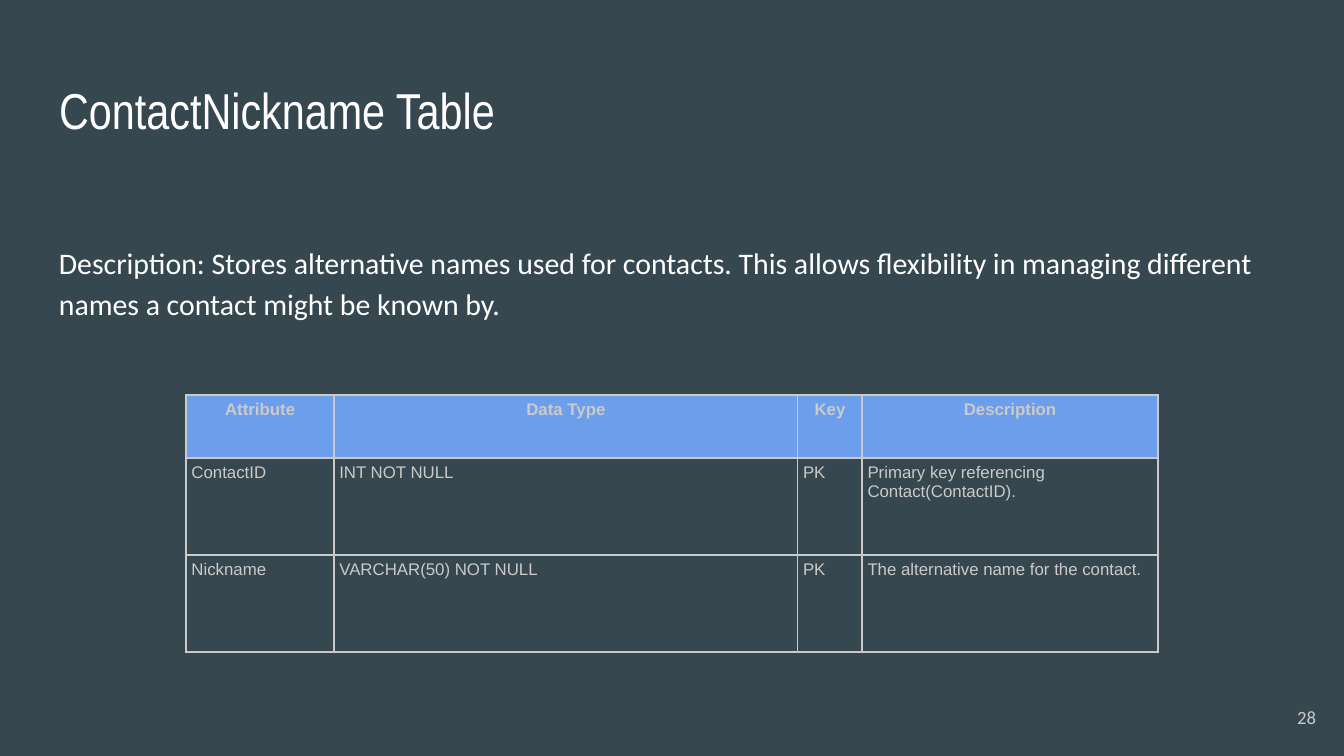
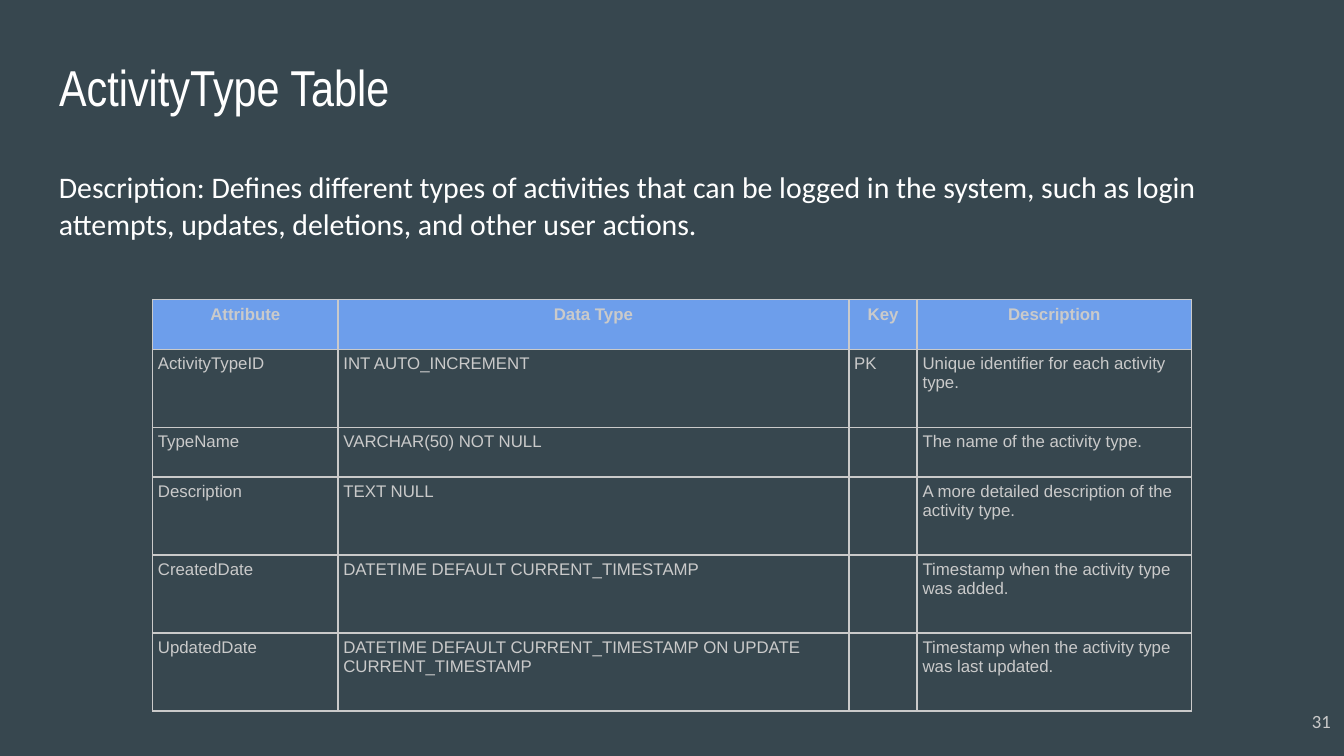
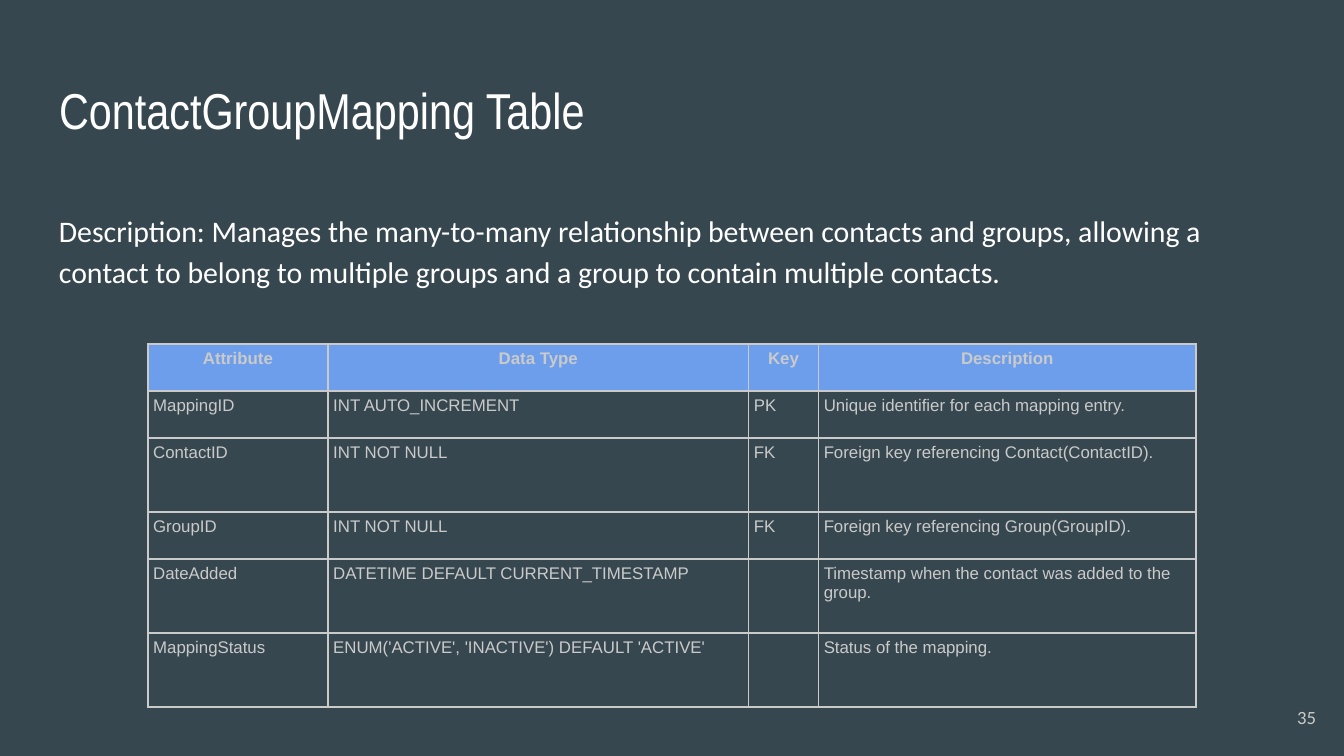
from dataclasses import dataclass

from lxml.etree import SubElement
from pptx import Presentation
from pptx.dml.color import RGBColor
from pptx.enum.text import MSO_ANCHOR, MSO_AUTO_SIZE, PP_ALIGN
from pptx.oxml.ns import qn
from pptx.util import Inches, Pt

SLATE = RGBColor(0x37, 0x47, 0x4F)
WHITE = RGBColor(0xFF, 0xFF, 0xFF)
SILVER = RGBColor(0xCA, 0xCA, 0xCA)
BLUE = RGBColor(0x6D, 0x9E, 0xEB)

SLIDE_WIDTH = 10
SLIDE_HEIGHT = SLIDE_WIDTH * 9 / 16
MARGIN = 0.34
CONTENT_WIDTH = SLIDE_WIDTH - 2 * MARGIN
HEADINGS = ("Attribute", "Data Type", "Key", "Description")


@dataclass(frozen=True)
class TextStyle:
    font: str
    size: float
    color: RGBColor
    bold: bool = False
    align: PP_ALIGN = PP_ALIGN.LEFT


TITLE = TextStyle("Arial Narrow", 27, WHITE)
BODY = TextStyle("Calibri", 16, WHITE)
HEADING = TextStyle("Arial", 9, SILVER, True, PP_ALIGN.CENTER)
ENTRY = TextStyle("Arial", 9, SILVER)
NUMBER = TextStyle("Calibri", 10, SILVER, align=PP_ALIGN.RIGHT)


@dataclass(frozen=True)
class Area:
    left: float
    top: float
    width: float
    height: float


@dataclass(frozen=True)
class TablePage:
    title: str
    title_top: float
    description: str
    description_top: float
    description_height: float
    line_spacing: float
    table_top: float
    columns: tuple[float, ...]
    row_heights: tuple[float, ...]
    entries: tuple[tuple[str, str, str, str], ...]
    number: str
    number_area: Area = Area(9.29, 5.12, 0.6, 0.43)


PAGES = (
    TablePage(
        title="ContactNickname Table",
        title_top=0.49,
        description="Description: Stores alternative names used for contacts. This allows "
        "flexibility in managing different names a contact might be known by.",
        description_top=1.68,
        description_height=1.15,
        line_spacing=1.15,
        table_top=2.94,
        columns=(1.1, 3.45, 0.48, 2.2),
        row_heights=(0.47, 0.72, 0.72),
        entries=(
            ("ContactID", "INT NOT NULL", "PK", "Primary key referencing Contact(ContactID)."),
            ("Nickname", "VARCHAR(50) NOT NULL", "PK", "The alternative name for the contact."),
        ),
        number="28",
    ),
    TablePage(
        title="ActivityType Table",
        title_top=0.32,
        description="Description: Defines different types of activities that can be logged in "
        "the system, such as login attempts, updates, deletions, and other user actions.",
        description_top=1.14,
        description_height=1.2,
        line_spacing=1.05,
        table_top=2.23,
        columns=(1.38, 3.8, 0.51, 2.04),
        row_heights=(0.37, 0.58, 0.37, 0.58, 0.58, 0.58),
        entries=(
            ("ActivityTypeID", "INT AUTO_INCREMENT", "PK",
             "Unique identifier for each activity type."),
            ("TypeName", "VARCHAR(50) NOT NULL", "", "The name of the activity type."),
            ("Description", "TEXT NULL", "", "A more detailed description of the activity type."),
            ("CreatedDate", "DATETIME DEFAULT CURRENT_TIMESTAMP", "",
             "Timestamp when the activity type was added."),
            ("UpdatedDate", "DATETIME DEFAULT CURRENT_TIMESTAMP ON UPDATE CURRENT_TIMESTAMP", "",
             "Timestamp when the activity type was last updated."),
        ),
        number="31",
        number_area=Area(9.4, 5.11, 0.6, 0.51),
    ),
    TablePage(
        title="ContactGroupMapping Table",
        title_top=0.49,
        description="Description: Manages the many-to-many relationship between contacts and "
        "groups, allowing a contact to belong to multiple groups and a group to contain "
        "multiple contacts.",
        description_top=1.44,
        description_height=1.46,
        line_spacing=1.15,
        table_top=2.56,
        columns=(1.34, 3.13, 0.52, 2.81),
        row_heights=(0.35, 0.35, 0.55, 0.35, 0.55, 0.55),
        entries=(
            ("MappingID", "INT AUTO_INCREMENT", "PK", "Unique identifier for each mapping entry."),
            ("ContactID", "INT NOT NULL", "FK", "Foreign key referencing Contact(ContactID)."),
            ("GroupID", "INT NOT NULL", "FK", "Foreign key referencing Group(GroupID)."),
            ("DateAdded", "DATETIME DEFAULT CURRENT_TIMESTAMP", "",
             "Timestamp when the contact was added to the group."),
            ("MappingStatus", "ENUM('ACTIVE', 'INACTIVE') DEFAULT 'ACTIVE'", "",
             "Status of the mapping."),
        ),
        number="35",
    ),
)


def write(paragraph, text: str, style: TextStyle) -> None:
    paragraph.alignment = style.align
    span = paragraph.add_run()
    span.text = text
    span.font.name = style.font
    span.font.size = Pt(style.size)
    span.font.bold = style.bold
    span.font.color.rgb = style.color


def fill_box(box, area: Area, text: str, style: TextStyle,
             anchor: MSO_ANCHOR = MSO_ANCHOR.TOP, line_spacing: float = 1.0) -> None:
    box.left, box.top = Inches(area.left), Inches(area.top)
    box.width, box.height = Inches(area.width), Inches(area.height)
    frame = box.text_frame
    frame.word_wrap = True
    frame.auto_size = MSO_AUTO_SIZE.NONE
    frame.vertical_anchor = anchor
    frame.margin_left = frame.margin_right = Inches(0.1)
    frame.margin_top = frame.margin_bottom = Inches(0.1)
    paragraph = frame.paragraphs[0]
    paragraph.line_spacing = line_spacing
    write(paragraph, text, style)


def add_text(slide, *details, **options) -> None:
    fill_box(slide.shapes.add_textbox(0, 0, 0, 0), *details, **options)


def add_borders(cell) -> None:
    properties = cell._tc.get_or_add_tcPr()
    for side in ("a:lnL", "a:lnR", "a:lnT", "a:lnB"):
        line = SubElement(properties, qn(side), w=str(Pt(1)))
        fill = SubElement(line, qn("a:solidFill"))
        SubElement(fill, qn("a:srgbClr"), val=str(SILVER))


def fill_cell(cell, text: str, is_heading: bool) -> None:
    cell.margin_left = cell.margin_right = Inches(0.04)
    cell.margin_top = cell.margin_bottom = Inches(0.04)
    add_borders(cell)
    if is_heading:
        cell.fill.solid()
        cell.fill.fore_color.rgb = BLUE
    else:
        cell.fill.background()
    paragraph = cell.text_frame.paragraphs[0]
    if text:
        write(paragraph, text, HEADING if is_heading else ENTRY)
    else:
        paragraph._p.get_or_add_endParaRPr().set("sz", "900")


def add_attribute_table(slide, page: TablePage) -> None:
    rows = (HEADINGS, *page.entries)
    width = sum(page.columns)
    table = slide.shapes.add_table(
        len(rows), len(HEADINGS),
        Inches((SLIDE_WIDTH - width) / 2), Inches(page.table_top),
        Inches(width), Inches(sum(page.row_heights)),
    ).table
    table.first_row = table.horz_banding = False
    for column, column_width in zip(table.columns, page.columns):
        column.width = Inches(column_width)
    for row_index, (texts, height) in enumerate(zip(rows, page.row_heights)):
        table.rows[row_index].height = Inches(height)
        for column_index, text in enumerate(texts):
            fill_cell(table.cell(row_index, column_index), text, row_index == 0)


def add_page(deck, page: TablePage) -> None:
    slide = deck.slides.add_slide(deck.slide_layouts.get_by_name("Title Only"))
    fill_box(slide.shapes.title, Area(MARGIN, page.title_top, CONTENT_WIDTH, 0.63),
             page.title, TITLE)
    add_text(slide, Area(MARGIN, page.description_top, CONTENT_WIDTH, page.description_height),
             page.description, BODY, line_spacing=page.line_spacing)
    add_attribute_table(slide, page)
    add_text(slide, page.number_area, page.number, NUMBER, anchor=MSO_ANCHOR.MIDDLE)


def main() -> None:
    deck = Presentation()
    deck.slide_width, deck.slide_height = Inches(SLIDE_WIDTH), Inches(SLIDE_HEIGHT)
    background = deck.slide_master.background.fill
    background.solid()
    background.fore_color.rgb = SLATE
    for page in PAGES:
        add_page(deck, page)
    deck.save("out.pptx")


if __name__ == "__main__":
    main()
